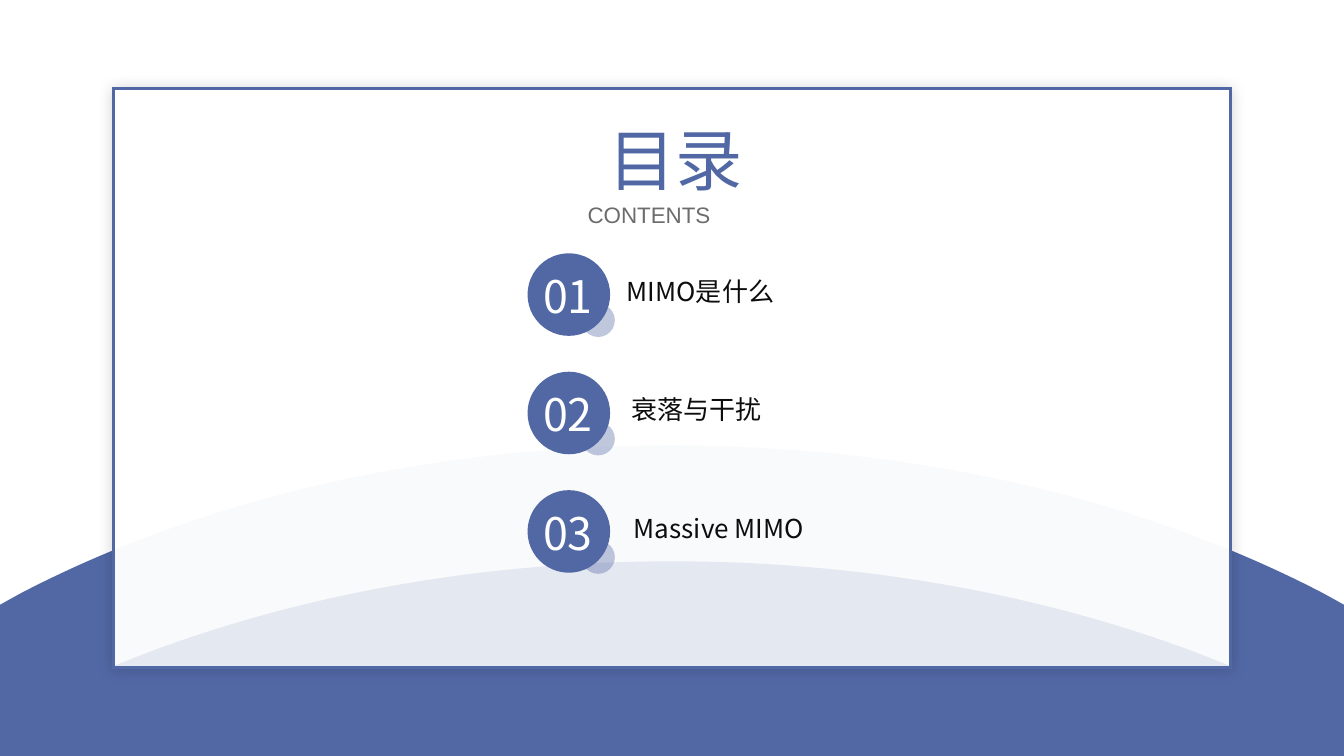
from lxml import etree
from pptx import Presentation
from pptx.dml.color import RGBColor
from pptx.enum.shapes import MSO_SHAPE as Preset
from pptx.enum.text import MSO_AUTO_SIZE as AutoSize, PP_ALIGN as Align
from pptx.oxml.ns import qn
from pptx.util import Pt

BLUE = "5268A5"
CJK_FONT = "Noto Sans CJK SC"
WIDTH, HEIGHT = 960, 540


def paint(shape, color, opacity=100):
    shape.shadow.inherit = False
    shape.line.fill.background()
    shape.fill.solid()
    shape.fill.fore_color.rgb = RGBColor.from_string(color)
    if opacity < 100:
        tint = shape._element.spPr.find(qn("a:solidFill")).find(qn("a:srgbClr"))
        etree.SubElement(tint, qn("a:alpha"), val=str(opacity * 1000))


def add_text(shapes, text, box, size, color, font=CJK_FONT, wrap=False):
    text_box = shapes.add_textbox(*map(Pt, box))
    frame = text_box.text_frame
    frame.word_wrap = wrap
    frame.auto_size = AutoSize.SHAPE_TO_FIT_TEXT
    paragraph = frame.paragraphs[0]
    paragraph.text = text
    paragraph.alignment = Align.JUSTIFY if wrap else Align.LEFT
    paragraph.font.size = Pt(size)
    paragraph.font.name = font
    paragraph.font.color.rgb = RGBColor.from_string(color)
    etree.SubElement(paragraph.font._element, qn("a:ea"), typeface=font)


presentation = Presentation()
presentation.slide_width = Pt(WIDTH)
presentation.slide_height = Pt(HEIGHT)
slide = presentation.slides.add_slide(presentation.slide_layouts[6])
shapes = slide.shapes

slope = [(480, 0), (656.6, 0), (819.2, 39.8), (945.6, 105.8), (960, 113.8)]
hills = []
for top, opacity in [(318.2, 100), (318.2, 3), (401, 12)]:
    right = [(x, top + drop) for x, drop in slope]
    left = [(WIDTH - x, y) for x, y in reversed(right)]
    outline = right + [(WIDTH, HEIGHT), (0, HEIGHT)] + left
    points = [(Pt(x), Pt(y)) for x, y in outline]
    builder = shapes.build_freeform(*points[0])
    builder.add_line_segments(points[1:], close=True)
    hill = builder.convert_to_shape()
    segments = list(hill._element.iter(qn("a:lnTo")))
    for curved in (segments[:3], segments[8:11]):
        curve = etree.Element(qn("a:cubicBezTo"))
        curved[0].addprevious(curve)
        for segment in curved:
            curve.append(segment[0])
            segment.getparent().remove(segment)
    paint(hill, BLUE, opacity)
    hills.append(hill)

card = shapes.add_shape(Preset.RECTANGLE, Pt(81), Pt(63.2), Pt(798), Pt(413.6))
paint(card, "FFFFFF")
card.line.color.rgb = RGBColor.from_string(BLUE)
card.line.width = Pt(2)
etree.SubElement(card._element.spPr.find(qn("a:ln")), qn("a:miter"), lim="800000")
effects = card._element.spPr.find(qn("a:effectLst"))
glow = etree.SubElement(effects, qn("a:outerShdw"), blurRad=str(Pt(10)), dist="0", dir="0")
black = etree.SubElement(glow, qn("a:srgbClr"), val="000000")
etree.SubElement(black, qn("a:alpha"), val="17000")
hills[0]._element.addnext(card._element)

add_text(shapes, "目录", (427.2, 81, 111.6, 65.5), 48, BLUE)
add_text(shapes, "CONTENTS", (412.6, 140.4, 140.4, 26.6), 16, "6C6C6C", "Arial", True)

topics = [("MIMO是什么", 440.6, 128.9), ("衰落与干扰", 444.2, 108.7), ("Massive MIMO", 445.7, 149)]
for index, (topic, left, width) in enumerate(topics):
    top = 180.9 + 84.6 * index
    add_text(shapes, topic, (left, top + 12.2, width, 29.5), 18.6, "0D0D0D")
    badge = shapes.add_group_shape().shapes
    disc = badge.add_shape(Preset.OVAL, Pt(376.8), Pt(top), Pt(59), Pt(59))
    paint(disc, BLUE)
    dot = badge.add_shape(Preset.OVAL, Pt(415.4), Pt(top + 36), Pt(23.8), Pt(23.8))
    paint(dot, BLUE, 37)
    add_text(badge, f"{index + 1:02}", (380.8, top + 7.4, 53, 46), 32, "FFFFFF")

shapes._spTree.append(hills[2]._element)

presentation.save("out.pptx")
